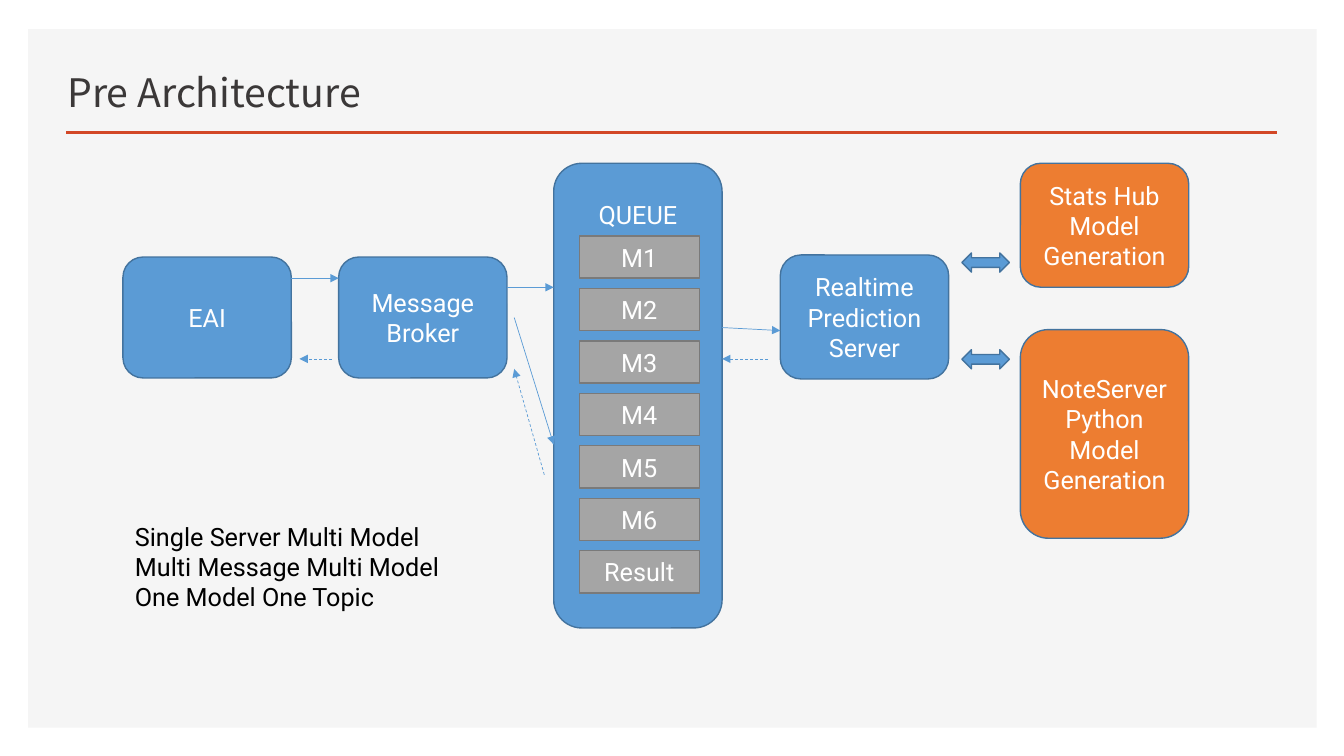
"""Build the Pre Architecture message-flow slide."""
from lxml import etree
from pptx import Presentation, util as u
from pptx.dml.color import RGBColor
from pptx.enum import dml, shapes, text
from pptx.oxml import ns

COLORS = {
    "panel": "F5F5F5", "rule": "D24726", "title": "3B3838", "black": "000000",
    "white": "FFFFFF", "blue": "5B9BD5", "edge": "43739E", "orange": "ED7D31",
    "gray": "A5A5A5", "gray_edge": "7A7A7A",
}
WIDTH, HEIGHT = 13.33, 7.5

# Lengths are percentages of the slide's width and height.
TITLE = "Pre Architecture"
NOTES = ["Single Server Multi Model", "Multi Message Multi Model", "One Model One Topic"]
QUEUE = ["QUEUE"]
NODE_WIDTH = 12.53
NODES = [
    (["EAI"], 9.15, 34, 16, "blue"),
    (["Message", "Broker"], 25.2, 34, 16, "blue"),
    (QUEUE, 41.2, 21.6, 61.47, "blue"),
    (["Realtime", "Prediction", "Server"], 58.06, 33.73, 16.4, "blue"),
    (["Stats Hub", "Model", "Generation"], 75.92, 21.6, 16.4, "orange"),
    (["NoteServer\vPython", "Model", "Generation"], 75.92, 43.6, 27.6, "orange"),
]
TOPICS = ["M1", "M2", "M3", "M4", "M5", "M6", "Result"]
TOPIC_LEFT, TOPIC_TOP, TOPIC_PITCH = 43.1, 31.2, 6.94
TOPIC_SIZE = (8.93, 5.6)
REQUESTS = [
    (21.68, 36.8, 25.2, 36.8),
    (37.73, 38, 41.2, 38),
    (38.26, 42, 41.2, 58.8),
    (53.73, 43.33, 58.06, 43.73),
]
REPLIES = [
    (57.16, 47.47, 53.73, 47.47),
    (40.5, 62.8, 38.26, 48.8),
    (24.68, 47.47, 22.28, 47.47),
]
EXCHANGE_TOPS = [33.47, 46.27]


def color(name):
    return RGBColor.from_string(COLORS[name])


def place(x, y, *rest):
    """Turn alternating width and height shares into lengths."""
    return [u.Inches(share * side / 100)
            for share, side in zip((x, y, *rest), (WIDTH, HEIGHT) * 2)]


def write(box, lines, size=18, font="Roboto", ink="white",
          align=text.PP_ALIGN.CENTER, anchor=text.MSO_ANCHOR.MIDDLE):
    frame = box.text_frame
    frame.word_wrap = True
    frame.vertical_anchor = anchor
    for index, line in enumerate(lines):
        para = frame.paragraphs[0] if index == 0 else frame.add_paragraph()
        para.text = line
        para.alignment = align
        for span in para.runs:
            span.font.size = u.Pt(size)
            span.font.name = font
            span.font.color.rgb = color(ink)
    return frame


def add_block(page, kind, area, fill, edge=None):
    block = page.shapes.add_shape(kind, *place(*area))
    block.shadow.inherit = False
    block.fill.solid()
    block.fill.fore_color.rgb = color(fill)
    if edge:
        block.line.color.rgb = color(edge)
        block.line.width = u.Pt(1)
    else:
        block.line.fill.background()
    return block


def add_line(page, ends, ink="blue", width=0.5, dashed=False, arrow=True):
    line = page.shapes.add_connector(shapes.MSO_CONNECTOR.STRAIGHT, *place(*ends))
    line.line.color.rgb = color(ink)
    line.line.width = u.Pt(width)
    if dashed:
        line.line.dash_style = dml.MSO_LINE.DASH
    if arrow:
        outline = line.line._get_or_add_ln()
        etree.SubElement(outline, ns.qn("a:tailEnd"), type="triangle")
    etree.SubElement(line._element.spPr, ns.qn("a:effectLst"))


def main():
    deck = Presentation()
    deck.slide_width, deck.slide_height = u.Inches(WIDTH), u.Inches(HEIGHT)
    page = deck.slides.add_slide(deck.slide_layouts[6])
    kinds = shapes.MSO_SHAPE

    add_block(page, kinds.RECTANGLE, (2.1, 3.87, 95.87, 92.4), "panel")
    add_line(page, (4.95, 17.47, 95.05, 17.47), ink="rule", width=2.25, arrow=False)
    title = page.shapes.add_textbox(*place(4.28, 6.53, 56.4, 9.33))
    write(title, [TITLE], size=28, font="Noto Sans CJK KR", ink="title",
          align=text.PP_ALIGN.LEFT, anchor=text.MSO_ANCHOR.BOTTOM)

    for lines, left, top, height, fill in NODES:
        node = add_block(page, kinds.ROUNDED_RECTANGLE,
                         (left, top, NODE_WIDTH, height), fill, "edge")
        frame = write(node, lines)
        if lines is QUEUE:
            frame.vertical_anchor = text.MSO_ANCHOR.TOP
            frame.margin_top = u.Inches(0.28)

    for row, topic in enumerate(TOPICS):
        area = (TOPIC_LEFT, TOPIC_TOP + row * TOPIC_PITCH, *TOPIC_SIZE)
        write(add_block(page, kinds.RECTANGLE, area, "gray", "gray_edge"), [topic])

    for ends in REQUESTS:
        add_line(page, ends)
    for top in EXCHANGE_TOPS:
        add_block(page, kinds.LEFT_RIGHT_ARROW, (71.57, top, 3.53, 2.53), "blue", "edge")
    for ends in REPLIES:
        add_line(page, ends, dashed=True)

    notes = page.shapes.add_textbox(*place(9.3, 68.27, 27.83, 13.47))
    write(notes, NOTES, ink="black", align=text.PP_ALIGN.LEFT, anchor=text.MSO_ANCHOR.TOP)
    deck.save("out.pptx")


if __name__ == "__main__":
    main()
